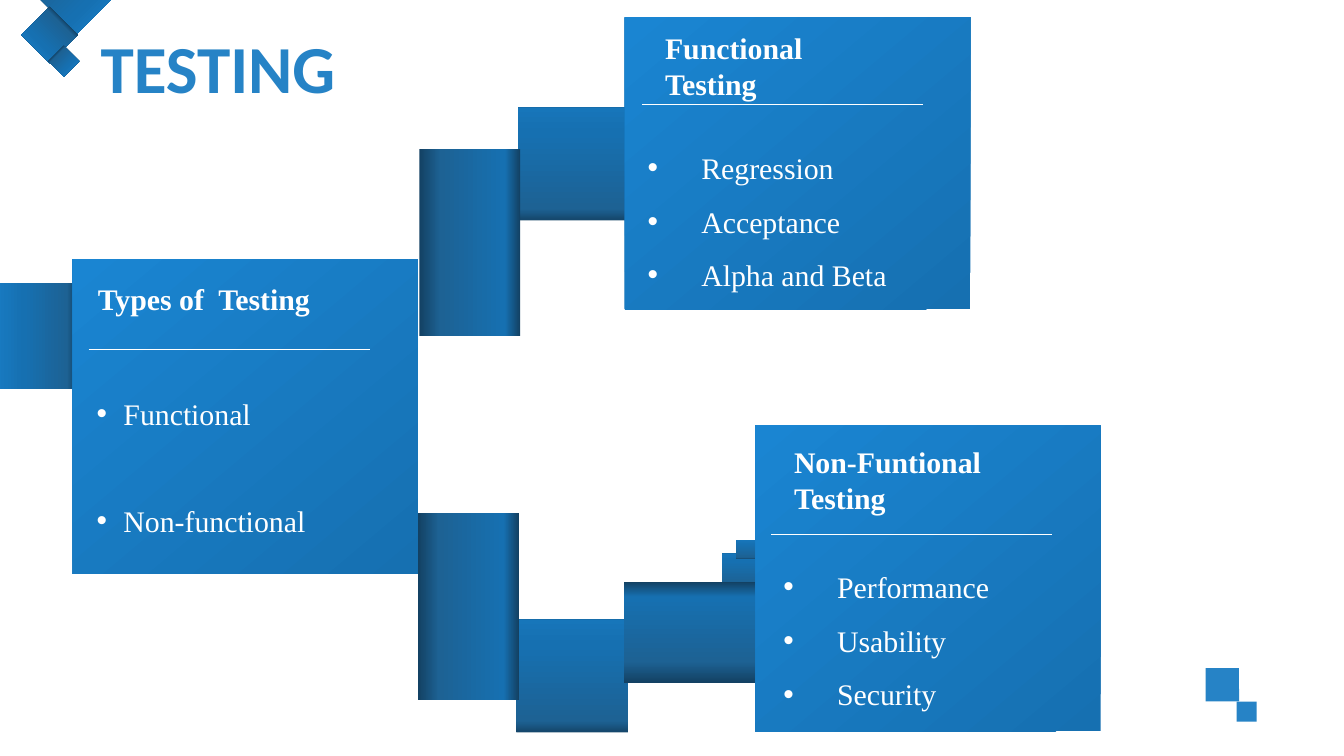
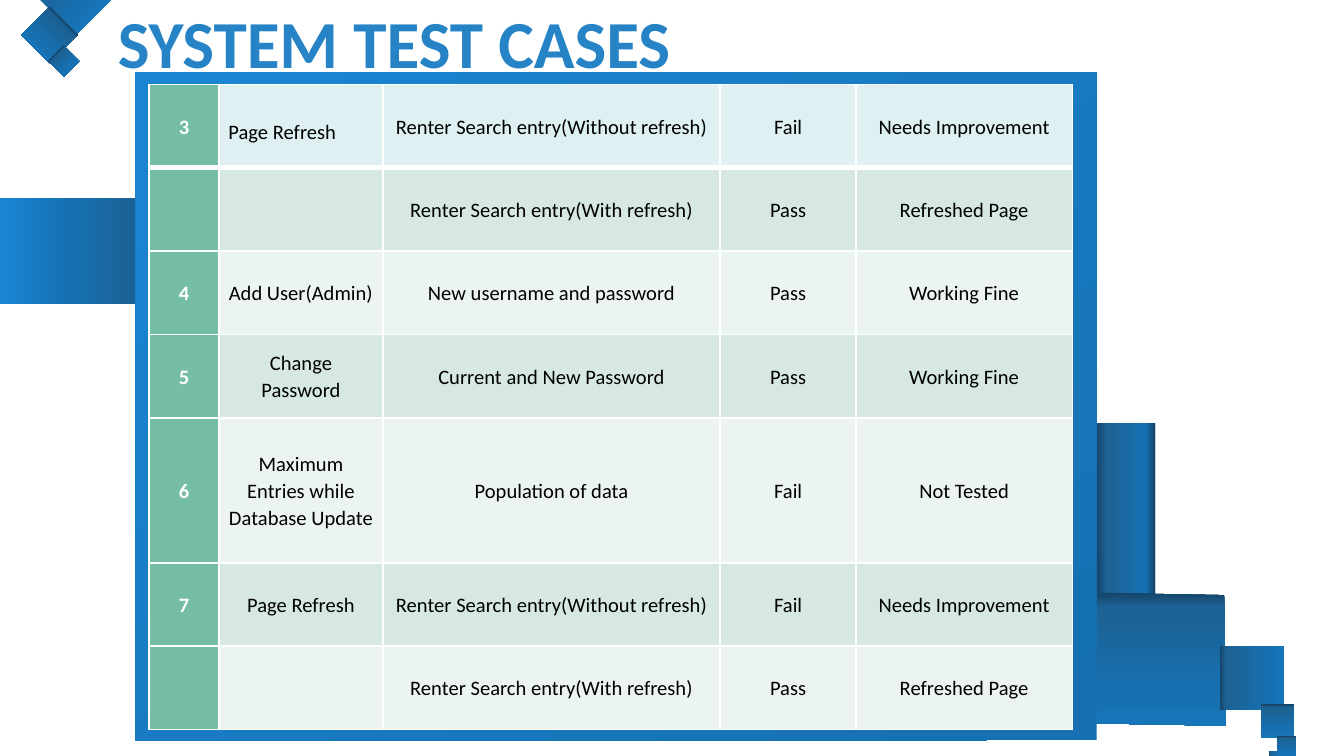
from lxml.etree import SubElement
from pptx import Presentation
from pptx.dml.color import RGBColor
from pptx.enum.shapes import MSO_CONNECTOR, MSO_SHAPE
from pptx.enum.text import MSO_ANCHOR, MSO_AUTO_SIZE, PP_ALIGN
from pptx.oxml import parse_xml
from pptx.oxml.ns import nsdecls, qn
from pptx.util import Inches, Pt

# Grid of square cells: 100 columns by 56.25 rows
CELL = Inches(0.1)
COLUMNS, ROWS = 100, 56.25

COLORS = {
    "accent": "2683C6", "white": "FFFFFF", "black": "000000",
    "night": "134163", "deep": "1D6294", "mid": "1670B1", "bright": "1A85D2",
    "key": "75BDA7", "first": "DEF0F2", "even": "ECF4F1", "odd": "D6E8E1",
}
GRADIENTS = {
    "square": [(24, "night"), (30, "deep"), (64, "mid"), (100, "bright")],
    "fold": [(0, "night"), (21, "deep"), (85, "mid"), (100, "night")],
    "tail": [(0, "night"), (10, "deep"), (51, "mid"), (100, "bright")],
    "panel": [(0, "mid"), (100, "bright")],
}
TITLE = {"name": "Calibri", "size": Pt(36), "bold": True}
HEADING = {"name": "Times New Roman", "size": Pt(16), "bold": True}
ITEM = {**HEADING, "bold": False}
TABLE_TEXT = {"name": "Calibri", "size": Pt(11), "bold": False}
TABLE_KEY = {**TABLE_TEXT, "bold": True}


def add_block(slide, kind, box, fill, angle=0, rotation=0, flip=False):
    """Add a borderless shape; fill names a gradient or a plain colour."""
    shape = slide.shapes.add_shape(kind, *(round(n * CELL) for n in box))
    shape.shadow.inherit = False
    shape.line.fill.background()
    shape.rotation = rotation
    if flip:
        shape._element.spPr.xfrm.set("flipH", "1")
    if fill in COLORS:
        shape.fill.solid()
        shape.fill.fore_color.rgb = RGBColor.from_string(COLORS[fill])
        return
    stops = "".join(
        f'<a:gs pos="{position * 1000}"><a:srgbClr val="{COLORS[color]}"/></a:gs>'
        for position, color in GRADIENTS[fill])
    gradient = parse_xml(
        f'<a:gradFill {nsdecls("a")} rotWithShape="1"><a:gsLst>{stops}</a:gsLst>'
        f'<a:lin ang="{angle * 60000}" scaled="0"/></a:gradFill>')
    shape._element.spPr.find(qn("a:prstGeom")).addnext(gradient)


def add_text(slide, box, lines, style, color, indent=0, gap=0):
    """Add a text box; an indent turns its lines into bullets, gap points apart."""
    frame = slide.shapes.add_textbox(*(round(n * CELL) for n in box)).text_frame
    frame.word_wrap = True
    frame.auto_size = MSO_AUTO_SIZE.SHAPE_TO_FIT_TEXT
    for number, line in enumerate(lines):
        paragraph = frame.add_paragraph() if number else frame.paragraphs[0]
        if indent:
            paragraph.line_spacing = 1.5
            if number and gap:
                paragraph.space_before = Pt(gap)
            properties = paragraph._p.get_or_add_pPr()
            properties.set("marL", str(round(indent * CELL)))
            properties.set("indent", str(-round(indent * CELL)))
            SubElement(properties, qn("a:buFont"), typeface="Arial")
            SubElement(properties, qn("a:buChar"), char="•")
        run = paragraph.add_run()
        run.text = line
        for name, value in style.items():
            setattr(run.font, name, value)
        run.font.color.rgb = RGBColor.from_string(COLORS[color])


presentation = Presentation()
presentation.slide_width = round(COLUMNS * CELL)
presentation.slide_height = round(ROWS * CELL)

# Corner squares and title shared by both slides
corner = [(2, -4.7, 7.3, 225, 180), (1.6, 0.5, 4.2, 135, 0), (3.6, 3.4, 2.3, 135, 270)]
titles = [("TESTING", (6.5, 1.5, 23.9, 7.1)),
          ("SYSTEM TEST CASES", (7.8, -0.4, 72, 7.1))]
slides = []
for title, box in titles:
    slide = presentation.slides.add_slide(presentation.slide_layouts[6])
    slides.append(slide)
    for left, top, size, angle, rotation in corner:
        add_block(slide, MSO_SHAPE.DIAMOND, (left, top, size, size), "square", angle, rotation)
    add_text(slide, box, [title], TITLE, "accent")
types_slide, cases_slide = slides

# Types of testing: ribbons of turned squares
ribbon_squares = [
    (36.8, 6.3, 11.8, 135), (45.8, 7.1, 6.7, 225), (48.5, 5.1, 3.5, 135),
    (49.7, 3.9, 2, 135), (51.3, 4.1, 1, 225),
    (36.7, 44.4, 11.8, 135), (45.7, 43, 6.7, 225), (53.2, 40.7, 3.5, 135),
    (54.5, 39.9, 2, 135), (56, 39.7, 1, 225),
]
for left, top, size, angle in ribbon_squares:
    add_block(types_slide, MSO_SHAPE.DIAMOND, (left, top, size, size), "square", angle, 135)
for left, top, rotation in [(28, 14.3, 90), (27.9, 41.4, 90), (46.4, 43.3, 0)]:
    add_block(types_slide, MSO_SHAPE.RECTANGLE, (left, top, 13.9, 7.5), "fold", 270, rotation)
add_block(types_slide, MSO_SHAPE.RECTANGLE, (-2.1, 21.1, 7.9, 7.8), "tail", 270, 270)
for left, top, size in [(89.2, 49.2, 3.5), (91.7, 51.9, 2.1)]:
    add_block(types_slide, MSO_SHAPE.DIAMOND, (left, top, size, size), "accent", rotation=45)

# Panels: box, heading, items, rule start, indent, gap
panels = [
    ((5.4, 19.3, 25.7, 23.4), (6.3, 20.4, 23.6, 3.7), ["Types of  Testing"],
     (6.2, 27.6, 23.2, 13.1), ["Functional", "Non-functional"], (6.6, 26), 2, 28.6),
    ((46.5, 1.3, 25.7, 21.7), (48.5, 1.7, 21.4, 6.4), ["Functional", "Testing"],
     (47.2, 9.3, 23.2, 13.1), ["Regression", "Acceptance", "Alpha and Beta"],
     (47.8, 7.8), 4, 0),
    ((56.2, 31.7, 25.7, 22.7), (58.1, 32.5, 21.4, 6.6), ["Non-Funtional", "Testing"],
     (57.3, 40.5, 23.2, 13.6), ["Performance", "Usability", "Security"],
     (57.4, 39.8), 4, 0),
]
RULE_LENGTH = 20.9
for box, heading_box, heading, list_box, items, (left, top), indent, gap in panels:
    add_block(types_slide, MSO_SHAPE.RECTANGLE, box, "panel", 230)
    add_text(types_slide, heading_box, heading, HEADING, "white")
    add_text(types_slide, list_box, items, ITEM, "white", indent, gap)
    rule = types_slide.shapes.add_connector(
        MSO_CONNECTOR.STRAIGHT,
        *(round(n * CELL) for n in (left, top, left + RULE_LENGTH, top)))
    rule.line.color.rgb = RGBColor.from_string(COLORS["white"])
    rule.line.width = Pt(0.5)
    SubElement(rule._element.spPr, qn("a:effectLst"))

# System test cases: ribbon behind the panel
add_block(cases_slide, MSO_SHAPE.RECTANGLE, (1.6, 13.1, 7.9, 11.1), "tail", 270, 270)
add_block(cases_slide, MSO_SHAPE.RECTANGLE, (77.3, 35.6, 12.8, 4.5), "fold", 270, 90)
falling_squares = [
    (79.3, 42.3, 14, 13.5, 135), (89.8, 47.1, 6.7, 6.7, 225), (93.3, 51.9, 3.5, 3.5, 135),
    (94.7, 54.5, 2, 2, 135), (94.3, 55.7, 1, 1, 225),
]
for *box, angle in falling_squares:
    add_block(cases_slide, MSO_SHAPE.DIAMOND, box, "square", angle, 45, flip=True)
add_block(cases_slide, MSO_SHAPE.RECTANGLE, (10.1, 5.4, 71.5, 49.7), "panel", 230)

cases = [
    ("3", "Page Refresh", "Renter Search entry(Without refresh)", "Fail", "Needs Improvement"),
    ("", "", "Renter Search entry(With refresh)", "Pass", "Refreshed Page"),
    ("4", "Add User(Admin)", "New username and password", "Pass", "Working Fine"),
    ("5", "Change Password", "Current and New Password", "Pass", "Working Fine"),
    ("6", "Maximum Entries while Database Update", "Population of data", "Fail", "Not Tested"),
    ("7", "Page Refresh", "Renter Search entry(Without refresh)", "Fail", "Needs Improvement"),
    ("", "", "Renter Search entry(With refresh)", "Pass", "Refreshed Page"),
]
column_widths = [5.2, 12.2, 25.1, 10.1, 16.1]
row_heights = [6.2] * 4 + [10.8] + [6.2] * 2
table = cases_slide.shapes.add_table(
    len(cases), len(column_widths),
    *(round(n * CELL) for n in (11.1, 6.3, sum(column_widths), sum(row_heights)))).table
table.first_row = table.horz_banding = False
for column, width in zip(table.columns, column_widths):
    column.width = round(width * CELL)
for row, height in zip(table.rows, row_heights):
    row.height = round(height * CELL)

cell_format = {
    "vertical_anchor": MSO_ANCHOR.MIDDLE, "margin_left": Inches(0.07),
    "margin_right": Inches(0.07), "margin_top": 0, "margin_bottom": 0,
}
for row_number, case in enumerate(cases):
    band = "first" if row_number == 0 else "odd" if row_number % 2 else "even"
    for column_number, text in enumerate(case):
        cell = table.cell(row_number, column_number)
        for name, value in cell_format.items():
            setattr(cell, name, value)
        heavy_side = {0: "lnB", 1: "lnT"}.get(row_number)
        for side in ("lnL", "lnR", "lnT", "lnB"):
            width = Pt(3 if side == heavy_side else 1)
            border = SubElement(cell._tc.get_or_add_tcPr(), qn(f"a:{side}"), w=str(width))
            SubElement(SubElement(border, qn("a:solidFill")), qn("a:srgbClr"),
                       val=COLORS["white"])
        is_key = column_number == 0
        cell.fill.solid()
        cell.fill.fore_color.rgb = RGBColor.from_string(COLORS["key" if is_key else band])
        if not text:
            continue
        is_left = (row_number, column_number) == (0, 1)
        paragraph = cell.text_frame.paragraphs[0]
        paragraph.alignment = PP_ALIGN.LEFT if is_left else PP_ALIGN.CENTER
        paragraph.line_spacing = 1.5 if is_left else 1.07
        run = paragraph.add_run()
        run.text = text
        for name, value in (TABLE_KEY if is_key else TABLE_TEXT).items():
            setattr(run.font, name, value)
        run.font.color.rgb = RGBColor.from_string(COLORS["white" if is_key else "black"])

presentation.save("out.pptx")
